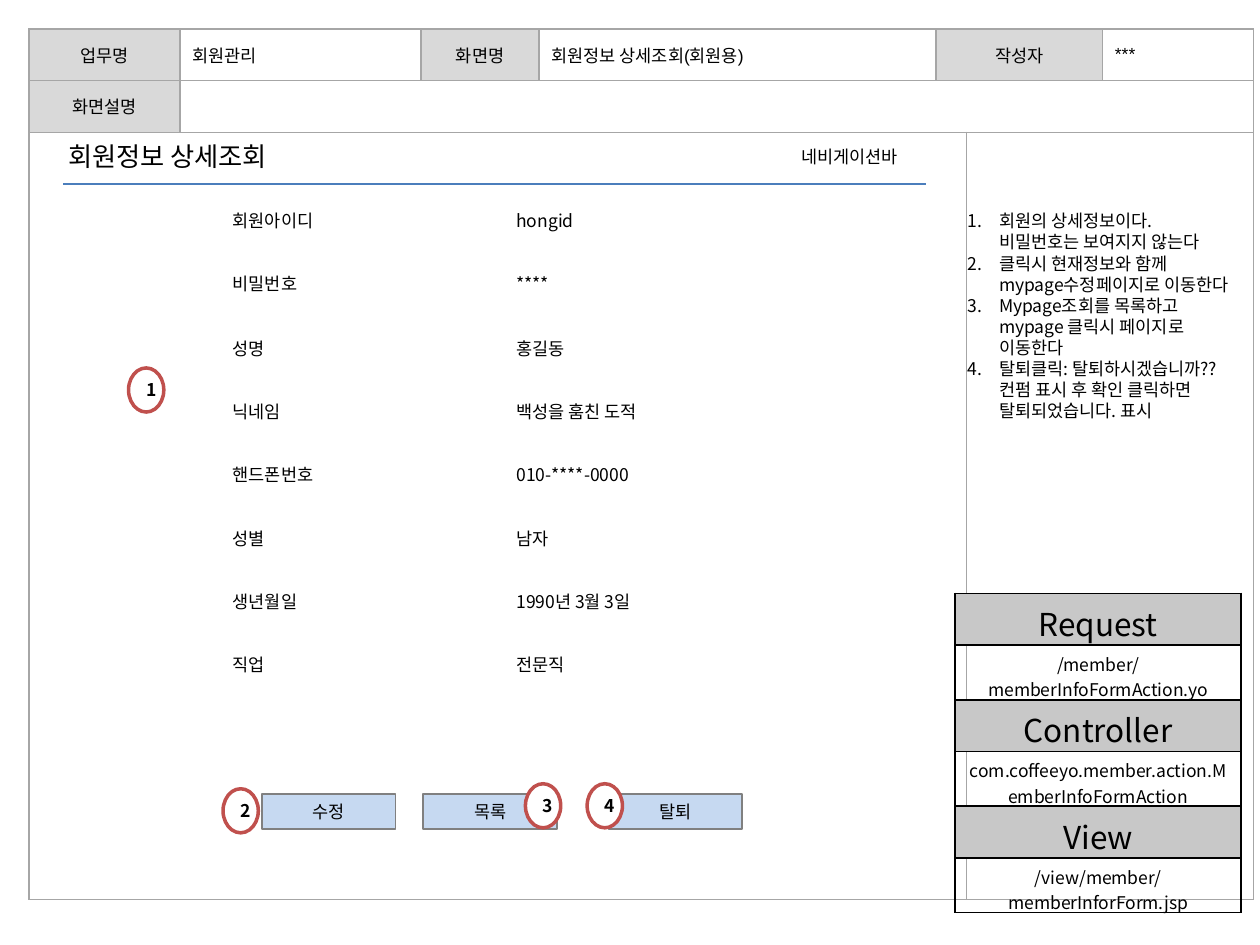
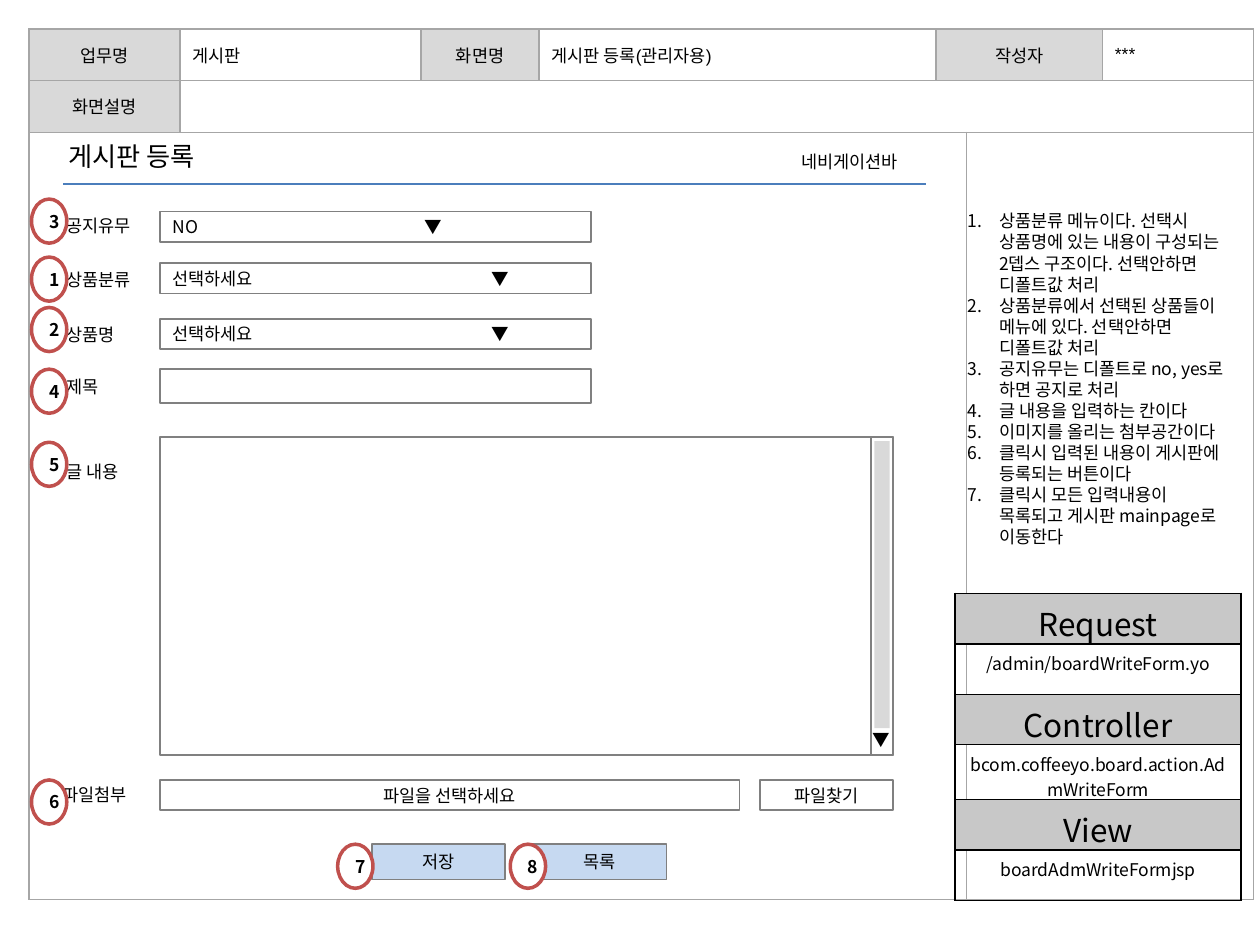
from dataclasses import dataclass

from lxml import etree
from pptx import Presentation
from pptx import util as u
from pptx.dml.color import RGBColor
from pptx.enum import shapes, text
from pptx.oxml.ns import qn


@dataclass(frozen=True)
class Theme:
    """Colours, fonts and type sizes of the deck."""
    ink: str = "000000"
    white: str = "FFFFFF"
    grid: str = "A6A6A6"
    head: str = "D9D9D9"
    band: str = "C8C8C8"
    edge: str = "808080"
    key: str = "C6D9F1"
    ring: str = "C0504D"
    rule: str = "4B7EBC"
    font: str = "Noto Sans CJK KR"
    plain: str = "Arial"
    small: int = 10
    title: int = 15
    large: int = 18


T = Theme()
LEFT, MID = text.PP_ALIGN.LEFT, text.PP_ALIGN.CENTER
RECT, OVAL = shapes.MSO_SHAPE.RECTANGLE, shapes.MSO_SHAPE.OVAL


def px(count):
    """Turn px, a hundred to the inch, into EMU."""
    return u.Emu(count * 9144)


def rgb(code):
    """Turn a hex code into a colour."""
    return RGBColor.from_string(code)


def write(par, words, size=T.small, align=LEFT, font=T.font, bold=False):
    """Set the words of a paragraph and format its runs."""
    par.text = words
    par.alignment = align
    for run in par.runs:
        run.font.size = u.Pt(size)
        run.font.bold = bold
        run.font.name = font
        run.font.color.rgb = rgb(T.ink)
        etree.SubElement(run.font._element, qn("a:ea"), typeface=T.font)


def stops(par, *spots):
    """Give a paragraph left tab stops."""
    tabs = etree.SubElement(par._p.get_or_add_pPr(), qn("a:tabLst"))
    for spot in spots:
        etree.SubElement(tabs, qn("a:tab"), pos=str(px(spot)), algn="l")


def place(shape, left, top, width, height):
    """Move and size a shape."""
    shape.left, shape.top = px(left), px(top)
    shape.width, shape.height = px(width), px(height)


def label(slide, words, left, top, width, height=27, tabs=(), wrap=True):
    """Add a line of plain text."""
    box = slide.shapes.add_textbox(*map(px, (left, top, width, height)))
    frame = box.text_frame
    frame.word_wrap = wrap
    par = frame.paragraphs[0]
    if tabs:
        stops(par, *tabs)
    write(par, words)
    return frame


def block(slide, words, left, top, width, height, fill=T.white, line=T.edge,
          align=MID, kind=RECT, weight=1, bold=False, tab=None):
    """Add a filled shape with optional words."""
    shape = slide.shapes.add_shape(kind, *map(px, (left, top, width, height)))
    shape.shadow.inherit = False
    shape.fill.solid()
    shape.fill.fore_color.rgb = rgb(fill)
    if line:
        shape.line.color.rgb = rgb(line)
        shape.line.width = u.Pt(weight)
    else:
        shape.line.fill.background()
    if words:
        par = shape.text_frame.paragraphs[0]
        if tab:
            stops(par, tab)
        write(par, words, align=align, bold=bold)


def badge(slide, number, left, top):
    """Add a numbered ring."""
    block(slide, str(number), left, top, 28, 35, line=T.ring, kind=OVAL,
          weight=2, bold=True)


def button(slide, words, left, top):
    """Add a blue button."""
    block(slide, words, left, top, 106, 28, fill=T.key)


def paint(cell, fill, line):
    """Set the borders and fill of a cell."""
    props = cell._tc.get_or_add_tcPr()
    for side in ("lnL", "lnR", "lnT", "lnB"):
        edge = etree.SubElement(props, qn("a:" + side), w=str(u.Pt(1)))
        solid = etree.SubElement(edge, qn("a:solidFill"))
        etree.SubElement(solid, qn("a:srgbClr"), val=line)
    if fill:
        cell.fill.solid()
        cell.fill.fore_color.rgb = rgb(fill)
    else:
        cell.fill.background()


def grid(slide, left, top, cols, rows):
    """Add an unstyled table with the given column and row sizes."""
    frame = slide.shapes.add_table(
        len(rows), len(cols), *map(px, (left, top, sum(cols), sum(rows))))
    table = frame.table
    table.first_row = table.horz_banding = False
    for col, width in zip(table.columns, cols):
        col.width = px(width)
    for row, height in zip(table.rows, rows):
        row.height = px(height)
    return frame


def sheet(slide, task, screen):
    """Add the page table behind everything else."""
    frame = grid(slide, 23, 23, (120, 191, 94, 315, 13, 108, 120),
                 (41, 41, 609))
    table = frame.table
    words = {(0, 0): "업무명", (0, 1): task, (0, 2): "화면명",
             (0, 3): screen, (0, 4): "작성자", (0, 6): "***",
             (1, 0): "화면설명"}
    heads = {(0, 0), (0, 2), (0, 4), (0, 5), (1, 0)}
    for row in range(3):
        for col in range(7):
            cell, spot = table.cell(row, col), (row, col)
            head = spot in heads
            cell.margin_top = cell.margin_bottom = 0
            cell.vertical_anchor = text.MSO_ANCHOR.MIDDLE
            paint(cell, T.head if head else T.white if row == 2 else None,
                  T.grid)
            if spot in words:
                write(cell.text_frame.paragraphs[0], words[spot],
                      align=MID if head else LEFT, font=T.plain)
    for row, start, end in ((0, 4, 5), (1, 1, 6), (2, 0, 4), (2, 5, 6)):
        table.cell(row, start).merge(table.cell(row, end))
    slide.shapes.title.element.addprevious(frame.element)


def route(slide, height, request, control, view):
    """Add the table of request, controller and view."""
    lines = ("Request", request, "Controller", control, "View", view)
    table = grid(slide, 758, 471, (227,), (height,) * len(lines)).table
    for row, words in enumerate(lines):
        cell, head = table.cell(row, 0), row % 2 == 0
        paint(cell, T.band if head else None, T.ink)
        write(cell.text_frame.paragraphs[0], words,
              T.large if head else T.small, MID)


def notes(slide, items, height):
    """Fill the body placeholder with a numbered list."""
    body = slide.placeholders[1]
    place(body, 758, 162, 227, height)
    frame = body.text_frame
    frame.auto_size = text.MSO_AUTO_SIZE.NONE
    for index, item in enumerate(items):
        par = frame.add_paragraph() if index else frame.paragraphs[0]
        props = par._p.get_or_add_pPr()
        props.set("marL", str(px(25)))
        props.set("indent", str(px(-25)))
        etree.SubElement(props, qn("a:buFont"), typeface=T.font)
        etree.SubElement(props, qn("a:buAutoNum"), type="arabicPeriod")
        par.space_before = u.Pt(0)
        write(par, item)


def start(deck, task, screen, title, width, nav):
    """Add a slide with the shared page table, title, bar and rule."""
    slide = deck.slides.add_slide(deck.slide_layouts[1])
    sheet(slide, task, screen)
    head = slide.shapes.title
    place(head, 44, 106, width, 35)
    frame = head.text_frame
    frame.word_wrap = False
    frame.auto_size = text.MSO_AUTO_SIZE.NONE
    frame.vertical_anchor = text.MSO_ANCHOR.TOP
    write(frame.paragraphs[0], title, T.title)
    label(slide, "네비게이션바", 626, nav, 104, wrap=False)
    rule = slide.shapes.add_connector(
        shapes.MSO_CONNECTOR.STRAIGHT, *map(px, (50, 146, 735, 146)))
    rule.line.color.rgb = rgb(T.rule)
    rule.line.width = u.Pt(0.75)
    etree.SubElement(rule.element.spPr, qn("a:effectLst"))
    return slide


def member(deck):
    """Build the member detail screen."""
    slide = start(deck, "회원관리", "회원정보 상세조회(회원용)",
                  "회원정보 상세조회", 196, 111)
    notes(slide, (
        "회원의 상세정보이다.\v비밀번호는 보여지지 않는다",
        "클릭시 현재정보와 함께 mypage수정페이지로 이동한다",
        "Mypage조회를 목록하고 mypage 클릭시 페이지로 이동한다",
        "탈퇴클릭: 탈퇴하시겠습니까?? 컨펌 표시 후 확인 클릭하면 "
        "탈퇴되었습니다. 표시"), 212)
    fields = (("회원아이디", "hongid"), ("비밀번호", "****"),
              ("성명", "홍길동"), ("닉네임", "백성을 훔친 도적"),
              ("핸드폰번호", "010-****-0000"), ("성별", "남자"),
              ("생년월일", "1990년 3월 3일"), ("직업", "전문직"))
    for row, (name, value) in enumerate(fields):
        label(slide, f"{name}\t\t{value}", 175, 162 + round(row * 50.3), 522,
              tabs=(125, 225))
    for words, left in (("수정", 208), ("목록", 336), ("탈퇴", 483)):
        button(slide, words, left, 630)
    spots = ((102, 292), (177, 626), (417, 622), (466, 622))
    for number, spot in enumerate(spots, 1):
        badge(slide, number, *spot)
    route(slide, 41, "/member/memberInfoFormAction.yo",
          "com.coffeeyo.member.action.MemberInfoFormAction",
          "/view/member/memberInforForm.jsp")


def board(deck):
    """Build the board entry screen."""
    slide = start(deck, "게시판", "게시판 등록(관리자용)",
                  "게시판 등록", 133, 115)
    notes(slide, (
        "상품분류 메뉴이다. 선택시 상품명에 있는 내용이 구성되는 "
        "2뎁스 구조이다. 선택안하면 디폴트값 처리",
        "상품분류에서 선택된 상품들이 메뉴에 있다. 선택안하면 디폴트값 처리",
        "공지유무는 디폴트로 no, yes로 하면 공지로 처리",
        "글 내용을 입력하는 칸이다",
        "이미지를 올리는 첨부공간이다",
        "클릭시 입력된 내용이 게시판에 등록되는 버튼이다",
        "클릭시 모든 입력내용이 목록되고 게시판 mainpage로 이동한다"), 313)
    names = (("상품분류", 204, 84), ("상품명", 248, 84),
             ("제목", 289, 67), ("글 내용", 357, 67))
    for words, top, width in names:
        block(slide, words, 43, top, width, 35, line=None, align=LEFT)
    label(slide, "공지유무", 43, 166, 137)
    label(slide, "파일첨부", 40, 617, 137)
    picks = (("NO", 168, 200), ("선택하세요", 209, 253),
             ("선택하세요", 253, 253))
    for words, top, tab in picks:
        block(slide, f"{words}\t▼", 127, top, 342, 24, align=LEFT, tab=tab)
    block(slide, "", 127, 293, 342, 27)
    block(slide, "", 127, 347, 582, 252)
    block(slide, "", 691, 347, 18, 252)
    arrow = label(slide, "▼", 683, 575, 31, 24)
    arrow.vertical_anchor = text.MSO_ANCHOR.MIDDLE
    block(slide, "", 694, 350, 12, 228, fill=T.head, line=None)
    block(slide, "파일을 선택하세요", 127, 619, 460, 24)
    block(slide, "파일찾기", 603, 619, 106, 24)
    button(slide, "저장", 295, 670)
    button(slide, "목록", 423, 670)
    spots = ((25, 204), (25, 244), (25, 158), (25, 293), (25, 351),
             (25, 619), (268, 670), (405, 670))
    for number, spot in enumerate(spots, 1):
        badge(slide, number, *spot)
    route(slide, 40, "/admin/boardWriteForm.yo",
          "bcom.coffeeyo.board.action.AdmWriteForm", "boardAdmWriteFormjsp")


def main():
    """Build and save the deck."""
    deck = Presentation()
    deck.slide_width, deck.slide_height = px(1000), px(750)
    member(deck)
    board(deck)
    deck.save("out.pptx")


if __name__ == "__main__":
    main()
